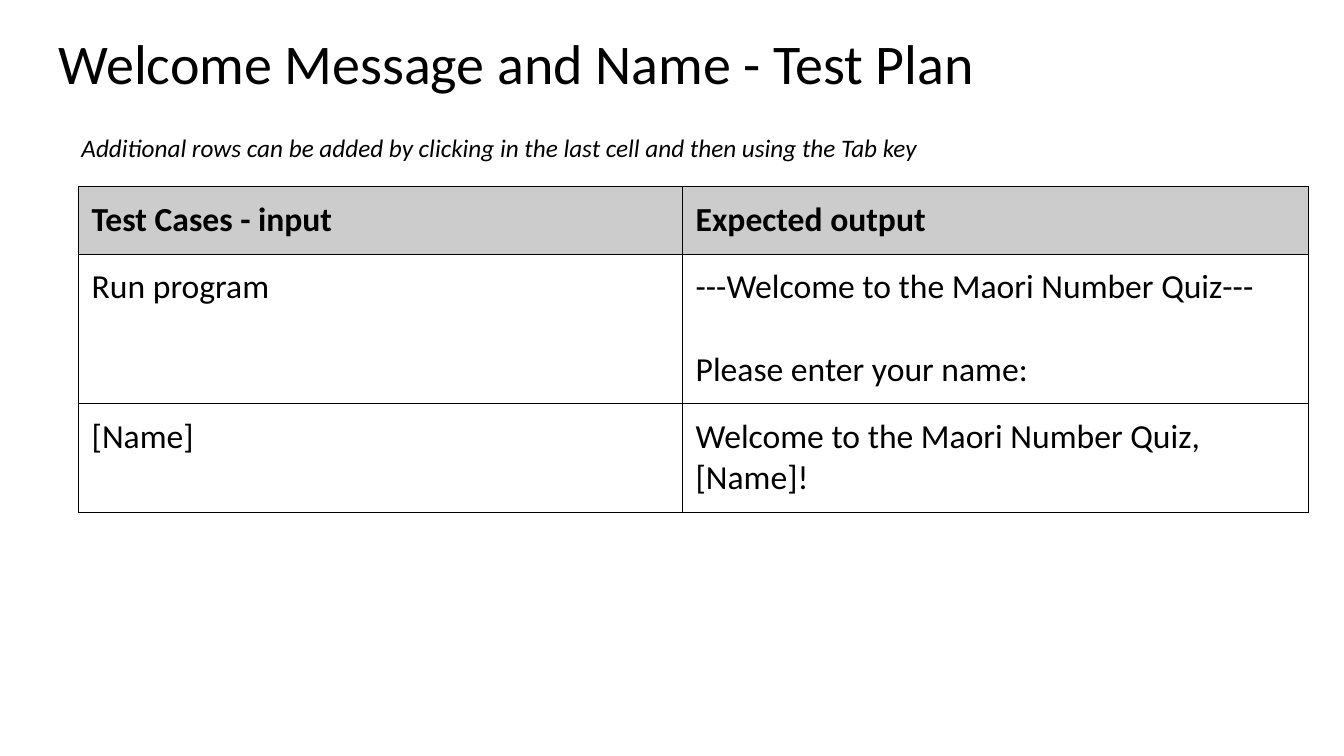
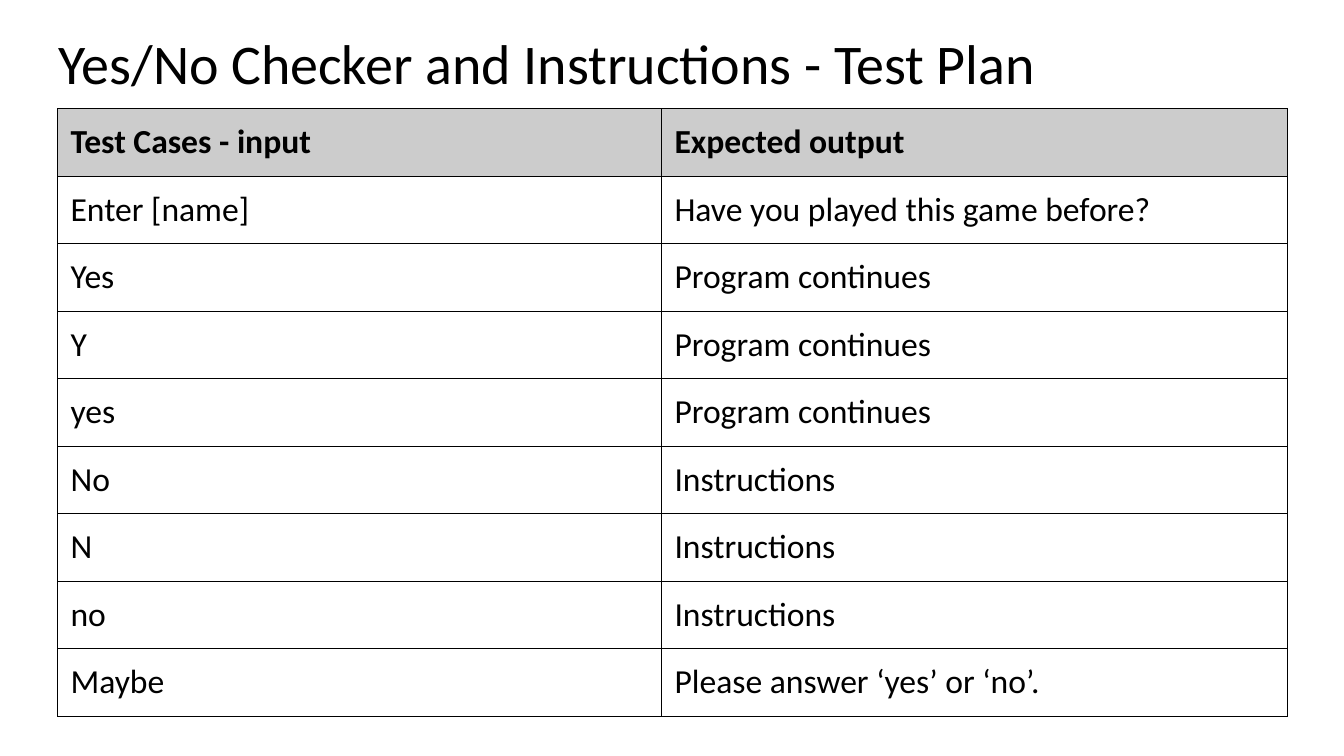
from lxml import etree
from pptx import Presentation
from pptx.dml.color import RGBColor
from pptx.enum.text import MSO_ANCHOR, PP_ALIGN
from pptx.oxml.ns import qn
from pptx.util import Inches, Pt

LEFT = PP_ALIGN.LEFT
TOP, MIDDLE = MSO_ANCHOR.TOP, MSO_ANCHOR.MIDDLE
TITLE_ONLY = 5
FONT = "Calibri"
COLORS = {"text": "000000", "border": "000000", "header": "CCCCCC"}
INSET = 0.13
ROW_HEIGHT = 0.67
COLUMN_WIDTHS = (5.99, 6.21)
HEADINGS = ("Test Cases - input", "Expected output")


def write_text(frame, text, size=24, bold=False, italic=False,
               line_spacing=1.0, gap=0):
    """Write one paragraph per line of text, with gap points between them."""
    for index, line in enumerate(text.split("\n")):
        para = frame.add_paragraph() if index else frame.paragraphs[0]
        para.alignment = LEFT
        para.line_spacing = line_spacing
        para.space_before = Pt(gap if index else 0)
        span = para.add_run()
        span.text = line
        font = span.font
        font.name, font.size = FONT, Pt(size)
        font.bold, font.italic = bold, italic
        font.color.rgb = RGBColor.from_string(COLORS["text"])


def set_margins(target):
    target.margin_left = target.margin_right = Inches(INSET)
    target.margin_top = target.margin_bottom = Inches(INSET)


class TestPlanDeck:
    def __init__(self):
        self.deck = Presentation()
        self.deck.slide_width = Inches(13.33)
        self.deck.slide_height = Inches(7.5)
        self.page = None

    def add_page(self, title):
        layout = self.deck.slide_layouts[TITLE_ONLY]
        self.page = self.deck.slides.add_slide(layout)
        box = self.page.shapes.title
        box.left, box.top = Inches(0.45), Inches(0.24)
        box.width, box.height = Inches(12.42), Inches(0.84)
        frame = box.text_frame
        frame.vertical_anchor = MIDDLE
        set_margins(frame)
        write_text(frame, title, size=40, line_spacing=0.9)

    def add_note(self, text, left, top, width, height):
        box = self.page.shapes.add_textbox(
            Inches(left), Inches(top), Inches(width), Inches(height))
        box.text_frame.word_wrap = True
        write_text(box.text_frame, text, size=18, italic=True)

    def add_table(self, rows, left, top, heights=None):
        rows = [HEADINGS, *rows]
        heights = heights or [ROW_HEIGHT] * len(rows)
        table = self.page.shapes.add_table(
            len(rows), len(COLUMN_WIDTHS), Inches(left), Inches(top),
            Inches(sum(COLUMN_WIDTHS)), Inches(sum(heights))).table
        table.horz_banding = False
        for column, width in zip(table.columns, COLUMN_WIDTHS):
            column.width = Inches(width)
        for row, height, texts in zip(table.rows, heights, rows):
            row.height = Inches(height)
            for cell, text in zip(row.cells, texts):
                self.format_cell(cell, text, header=texts is HEADINGS)

    def format_cell(self, cell, text, header):
        set_margins(cell)
        cell.vertical_anchor = TOP
        self.add_borders(cell)
        if header:
            cell.fill.solid()
            cell.fill.fore_color.rgb = RGBColor.from_string(COLORS["header"])
        else:
            cell.fill.background()
        # The gap between paragraphs is one line of 24 point text
        write_text(cell.text_frame, text, bold=header, gap=29.3)

    def add_borders(self, cell):
        properties = cell._tc.get_or_add_tcPr()
        for side in ("a:lnL", "a:lnR", "a:lnT", "a:lnB"):
            line = etree.SubElement(properties, qn(side), w=str(Pt(0.75)))
            fill = etree.SubElement(line, qn("a:solidFill"))
            etree.SubElement(fill, qn("a:srgbClr"), val=COLORS["border"])

    def save(self):
        self.deck.save("out.pptx")


plan = TestPlanDeck()

# Welcome message and name
plan.add_page("Welcome Message and Name - Test Plan")
plan.add_table(
    [("Run program",
      "---Welcome to the Maori Number Quiz---\nPlease enter your name:"),
     ("[Name]", "Welcome to the Maori Number Quiz, [Name]!")],
    left=0.78, top=1.85, heights=[ROW_HEIGHT, 1.48, 1.08])
plan.add_note(
    "Additional rows can be added by clicking in the last cell "
    "and then using the Tab key",
    left=0.71, top=1.26, width=10.94, height=0.4)

# Yes/no checker and instructions
plan.add_page("Yes/No Checker and Instructions - Test Plan")
plan.add_table(
    [("Enter [name]", "Have you played this game before?"),
     *[(answer, "Program continues") for answer in ("Yes", "Y", "yes")],
     *[(answer, "Instructions") for answer in ("No", "N", "no")],
     ("Maybe", "Please answer ‘yes’ or ‘no’.")],
    left=0.57, top=1.08)

plan.save()
